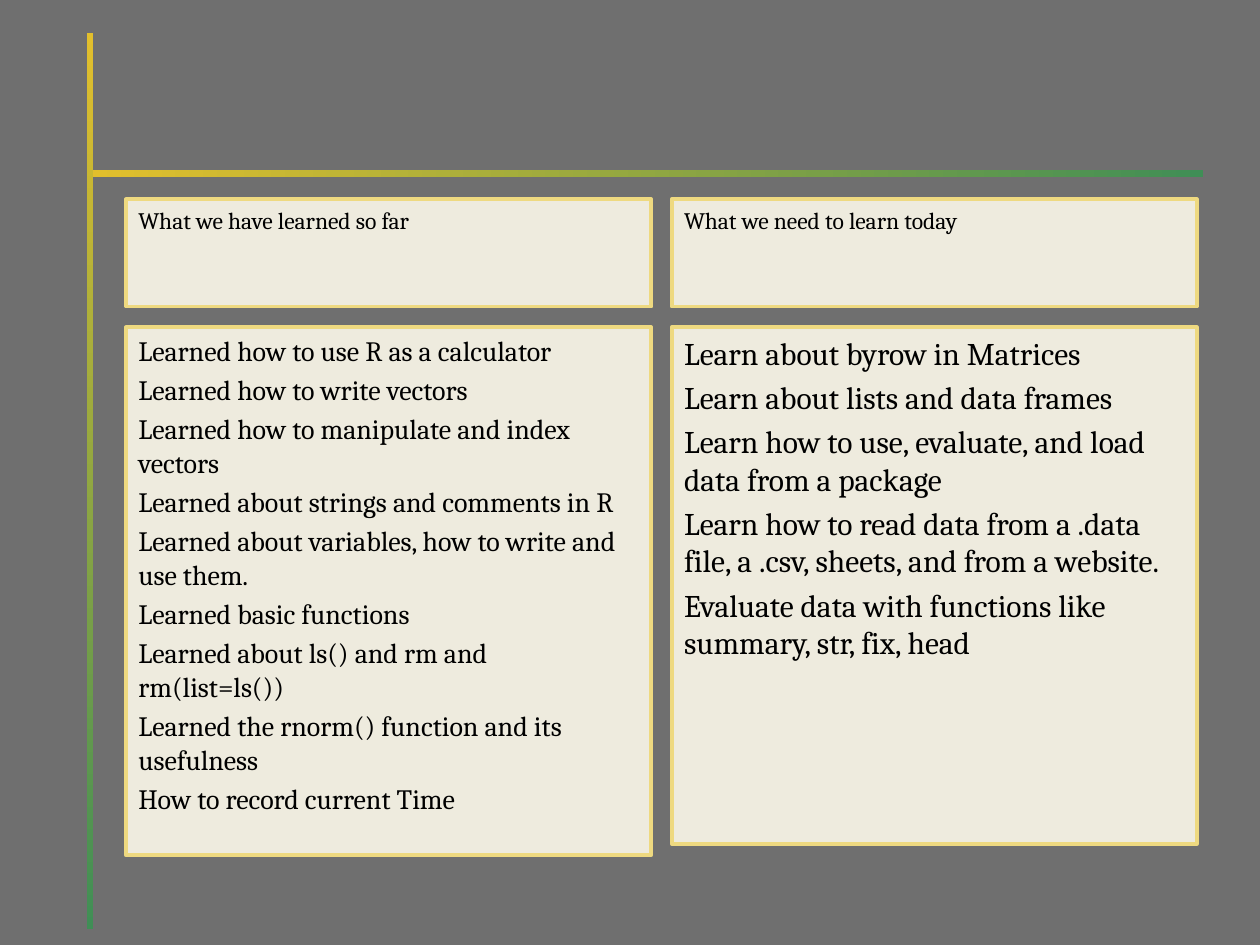
from dataclasses import dataclass

from pptx import Presentation
from pptx import util as u
from pptx.dml.color import RGBColor
from pptx.enum import shapes, text


@dataclass(frozen=True)
class Theme:
    font: str = "Cambria"
    background: str = "6F6F6F"
    ink: str = "000000"
    panel: str = "EEEBDE"
    border: str = "EED980"
    rule_start: str = "E2BF2C"
    rule_end: str = "408E56"
    border_width: float = 2.25
    heading_size: float = 13.5
    learned_size: float = 16
    planned_size: float = 18
    paragraph_gap: float = 0.2  # share of the type size


class SlideBuilder:
    def __init__(self, slide, theme):
        self.slide = slide
        self.theme = theme

    def background(self):
        fill = self.slide.background.fill
        fill.solid()
        fill.fore_color.rgb = RGBColor.from_string(self.theme.background)

    def rectangle(self, left, top, width, height):
        box = self.slide.shapes.add_shape(
            shapes.MSO_SHAPE.RECTANGLE,
            u.Cm(left), u.Cm(top), u.Cm(width), u.Cm(height))
        box.shadow.inherit = False
        return box

    def rule(self, left, top, width, height, angle):
        """Draw a thin gradient bar; the angle runs counter-clockwise."""
        bar = self.rectangle(left, top, width, height)
        bar.line.fill.background()
        bar.fill.gradient()
        bar.fill.gradient_angle = angle
        colours = (self.theme.rule_start, self.theme.rule_end)
        for stop, colour in zip(bar.fill.gradient_stops, colours):
            stop.color.rgb = RGBColor.from_string(colour)

    def panel(self, left, top, width, height, lines, size):
        theme = self.theme
        box = self.rectangle(left, top, width, height)
        box.fill.solid()
        box.fill.fore_color.rgb = RGBColor.from_string(theme.panel)
        box.line.color.rgb = RGBColor.from_string(theme.border)
        box.line.width = u.Pt(theme.border_width)
        frame = box.text_frame
        frame.word_wrap = True
        frame.vertical_anchor = text.MSO_ANCHOR.TOP
        for index, line in enumerate(lines):
            paragraph = frame.add_paragraph() if index else frame.paragraphs[0]
            paragraph.alignment = text.PP_ALIGN.LEFT
            if index:
                paragraph.space_before = u.Pt(size * theme.paragraph_gap)
            run = paragraph.add_run()
            run.text = line
            run.font.name = theme.font
            run.font.size = u.Pt(size)
            run.font.color.rgb = RGBColor.from_string(theme.ink)


LEARNED = [
    "Learned how to use R as a calculator",
    "Learned how to write vectors",
    "Learned how to manipulate and index vectors",
    "Learned about strings and comments in R",
    "Learned about variables, how to write and use them.",
    "Learned basic functions",
    "Learned about ls() and rm and rm(list=ls())",
    "Learned the rnorm() function and its usefulness",
    "How to record current Time",
]
PLANNED = [
    "Learn about byrow in Matrices",
    "Learn about lists and data frames",
    "Learn how to use, evaluate, and load data from a package",
    "Learn how to read data from a .data file, a .csv, sheets, and from a website.",
    "Evaluate data with functions like summary, str, fix, head",
]


def main():
    theme = Theme()
    deck = Presentation()
    deck.slide_width, deck.slide_height = u.Cm(25.4), u.Cm(19.05)
    blank_layout = deck.slide_layouts[6]
    builder = SlideBuilder(deck.slides.add_slide(blank_layout), theme)

    builder.background()
    builder.rule(1.75, 0.66, 0.13, 18.06, angle=270)
    builder.rule(1.88, 3.43, 22.38, 0.15, angle=0)

    first_left, column_step, column_width = 2.54, 11, 10.59
    heading_top, heading_height, list_top = 4.02, 2.16, 6.6
    columns = [
        ("What we have learned so far", LEARNED, theme.learned_size, 10.64),
        ("What we need to learn today", PLANNED, theme.planned_size, 10.41),
    ]
    for number, (heading, topics, size, list_height) in enumerate(columns):
        left = first_left + number * column_step
        builder.panel(left, heading_top, column_width, heading_height,
                      [heading], theme.heading_size)
        builder.panel(left, list_top, column_width, list_height, topics, size)

    deck.save("out.pptx")


if __name__ == "__main__":
    main()
